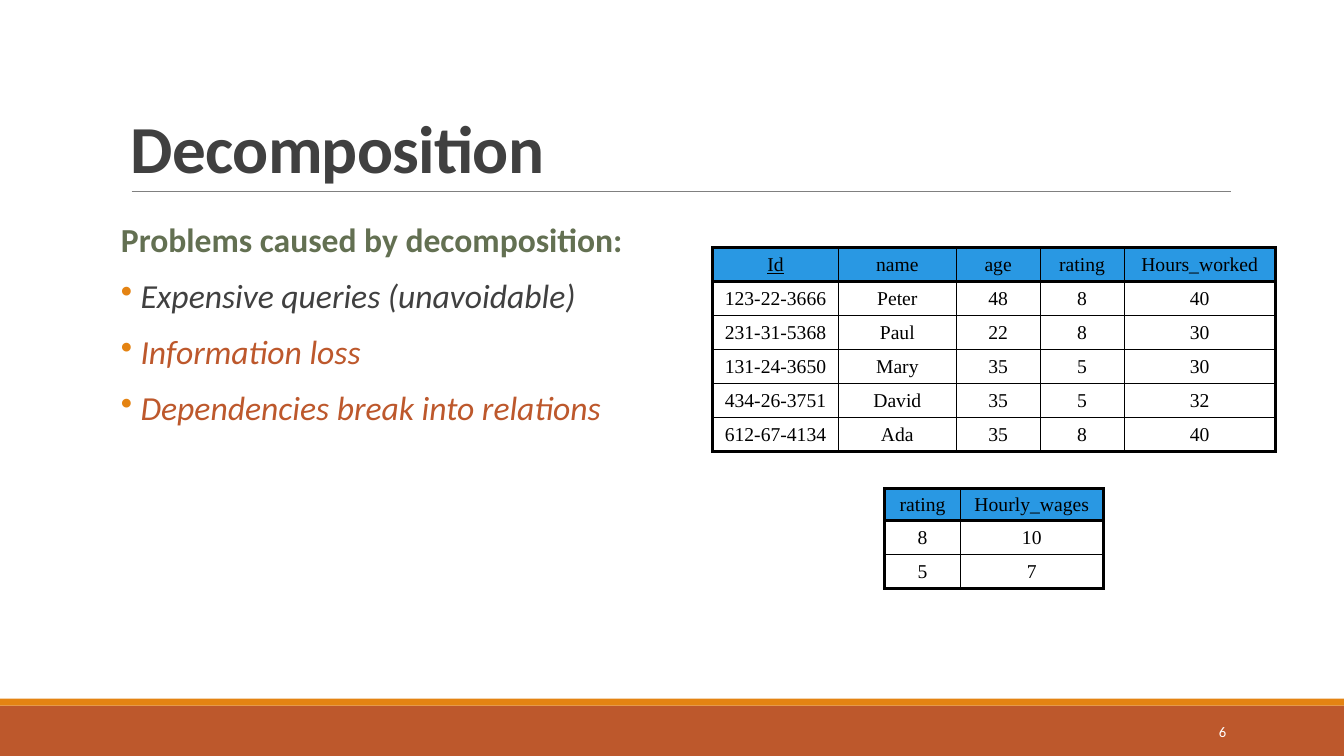
from lxml.etree import SubElement
from pptx import Presentation
from pptx.dml.color import RGBColor
from pptx.enum.shapes import MSO_CONNECTOR, MSO_SHAPE
from pptx.enum.text import MSO_ANCHOR, PP_ALIGN
from pptx.oxml.ns import qn
from pptx.util import Pt

HUES = {
    "rust": "BD582C",
    "orange": "E48312",
    "rule": "808080",
    "dark": "404040",
    "green": "637052",
    "white": "FFFFFF",
    "black": "000000",
    "blue": "2998E3",
}
THICK, THIN = 2.25, 1

STAFF = [
    ["Id", "name", "age", "rating", "Hours_worked"],
    ["123-22-3666", "Peter", "48", "8", "40"],
    ["231-31-5368", "Paul", "22", "8", "30"],
    ["131-24-3650", "Mary", "35", "5", "30"],
    ["434-26-3751", "David", "35", "5", "32"],
    ["612-67-4134", "Ada", "35", "8", "40"],
]
WAGES = [["rating", "Hourly_wages"], ["8", "10"], ["5", "7"]]
POINTS = [
    ("Expensive queries (unavoidable)", "dark"),
    ("Information loss", "rust"),
    ("Dependencies break into relations", "rust"),
]


def tint(name):
    return RGBColor.from_string(HUES[name])


def write(par, text, size=24, hue="black", face="Calibri", bold=False,
          slant=False, under=False, align=PP_ALIGN.LEFT, lead=1.0,
          before=0, after=0, track=0):
    par.alignment = align
    par.line_spacing = lead
    par.space_before, par.space_after = Pt(before), Pt(after)
    run = par.add_run()
    run.text = text
    font = run.font
    font.size, font.name = Pt(size), face
    font.bold, font.italic, font.underline = bold, slant, under
    font.color.rgb = tint(hue)
    if track:
        run._r.get_or_add_rPr().set("spc", str(track))


def add_bullet(par, hue, indent):
    props = par._p.get_or_add_pPr()
    props.set("marL", str(Pt(indent)))
    props.set("indent", str(-Pt(indent)))
    paint = SubElement(props, qn("a:buClr"))
    SubElement(paint, qn("a:srgbClr"), val=HUES[hue])
    SubElement(props, qn("a:buChar"), char="•")


def add_box(slide, left, top, width, height, anchor=MSO_ANCHOR.TOP, inset=7.2):
    box = slide.shapes.add_textbox(Pt(left), Pt(top), Pt(width), Pt(height))
    frame = box.text_frame
    frame.word_wrap = True
    frame.vertical_anchor = anchor
    frame.margin_left = frame.margin_right = Pt(inset)
    return frame


def add_bar(slide, top, height, hue):
    bar = slide.shapes.add_shape(
        MSO_SHAPE.RECTANGLE, Pt(0), Pt(top), Pt(960), Pt(height))
    bar.shadow.inherit = False
    bar.fill.solid()
    bar.fill.fore_color.rgb = tint(hue)
    bar.line.fill.background()


def add_rule(slide, left, right, top):
    rule = slide.shapes.add_connector(
        MSO_CONNECTOR.STRAIGHT, Pt(left), Pt(top), Pt(right), Pt(top))
    rule.line.width = Pt(0.5)
    rule.line.color.rgb = tint("rule")
    SubElement(rule._element.spPr, qn("a:effectLst"))


def add_edge(cell, side, width):
    edge = SubElement(cell._tc.get_or_add_tcPr(), qn("a:ln" + side),
                      w=str(Pt(width)))
    fill = SubElement(edge, qn("a:solidFill"))
    SubElement(fill, qn("a:srgbClr"), val=HUES["black"])


def add_grid(slide, data, left, top, widths, heights, key=None):
    table = slide.shapes.add_table(
        len(data), len(widths), Pt(left), Pt(top),
        Pt(sum(widths)), Pt(sum(heights))).table
    table.first_row = table.horz_banding = False
    for col, width in zip(table.columns, widths):
        col.width = Pt(width)
    for row, height in zip(table.rows, heights):
        row.height = Pt(height)
    last_row, last_col = len(data) - 1, len(widths) - 1
    for r, line in enumerate(data):
        for c, text in enumerate(line):
            cell = table.cell(r, c)
            heavy = {"L": c == 0, "R": c == last_col,
                     "T": r <= 1, "B": r in (0, last_row)}
            for side, thick in heavy.items():
                add_edge(cell, side, THICK if thick else THIN)
            if r == 0:
                cell.fill.solid()
                cell.fill.fore_color.rgb = tint("blue")
            else:
                cell.fill.background()
            cell.vertical_anchor = MSO_ANCHOR.MIDDLE
            cell.margin_top = cell.margin_bottom = Pt(2)
            write(cell.text_frame.paragraphs[0], text, size=14,
                  face="Times New Roman", align=PP_ALIGN.CENTER,
                  under=text == key)


def main():
    deck = Presentation()
    deck.slide_width, deck.slide_height = Pt(960), Pt(540)
    slide = deck.slides.add_slide(deck.slide_layouts[6])

    add_bar(slide, 504, 36, "rust")
    add_bar(slide, 499, 5, "orange")
    add_rule(slide, 94, 879, 136.5)

    title = add_box(slide, 86.4, 22.5, 792, 114.5, MSO_ANCHOR.BOTTOM)
    write(title.paragraphs[0], "Decomposition", size=48, hue="dark",
          bold=True, lead=0.85, track=-50)

    body = add_box(slide, 86.4, 156.2, 761, 309.6, inset=0)
    space = {"lead": 0.9, "before": 12, "after": 2}
    write(body.paragraphs[0], "Problems caused by decomposition:",
          hue="green", bold=True, **space)
    for text, hue in POINTS:
        par = body.add_paragraph()
        write(par, text, hue=hue, slant=True, **space)
        add_bullet(par, "orange", 14)

    page = add_box(slide, 780, 508.5, 103, 28.8, MSO_ANCHOR.MIDDLE)
    write(page.paragraphs[0], "6", size=10.5, hue="white",
          align=PP_ALIGN.RIGHT)

    add_grid(slide, STAFF, 509, 177, [90, 84, 60, 60, 108],
             [24] + [24.3] * 5, key="Id")
    add_grid(slide, WAGES, 632, 349, [54, 102], [22.8] + [24.3] * 2)

    deck.save("out.pptx")


if __name__ == "__main__":
    main()
